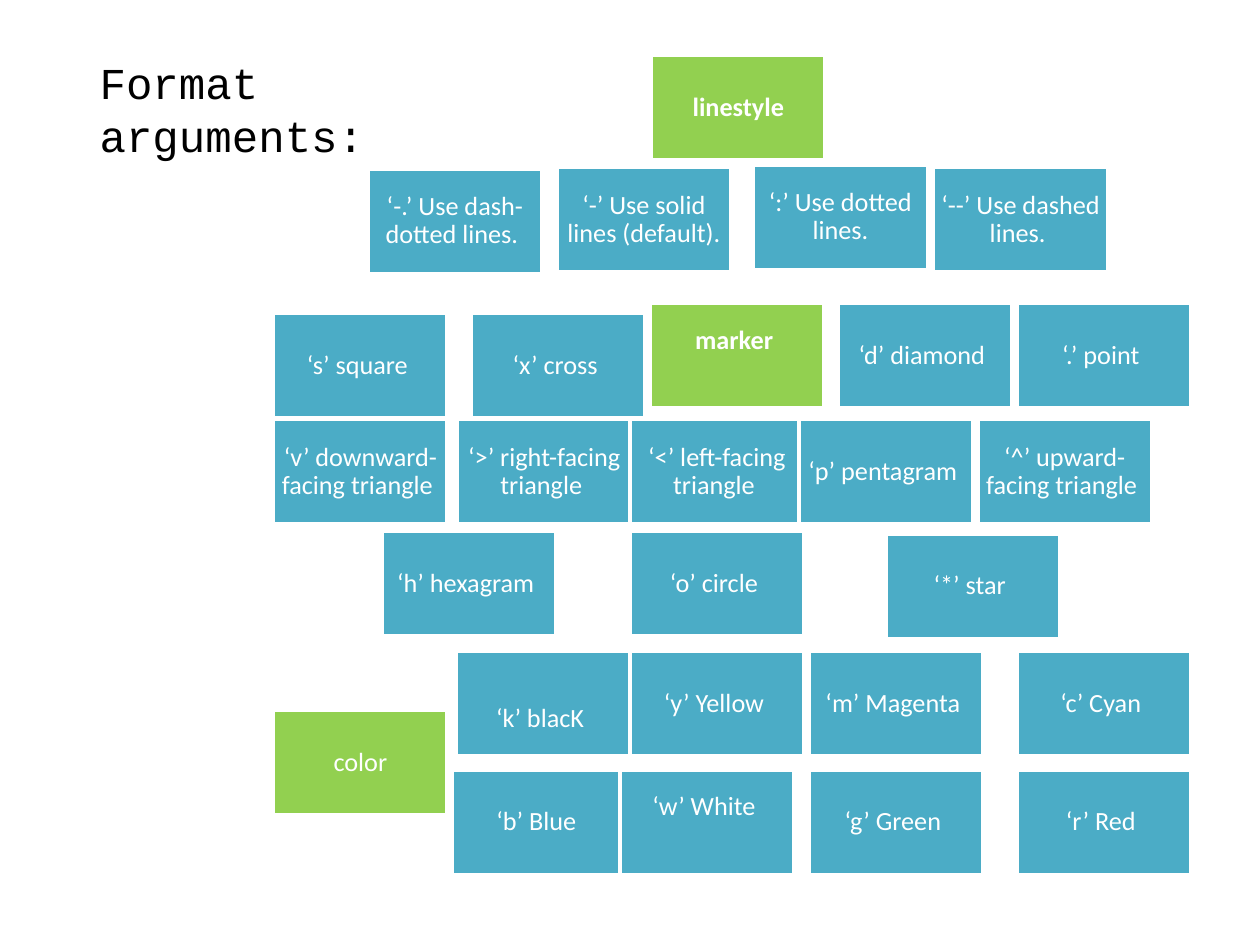
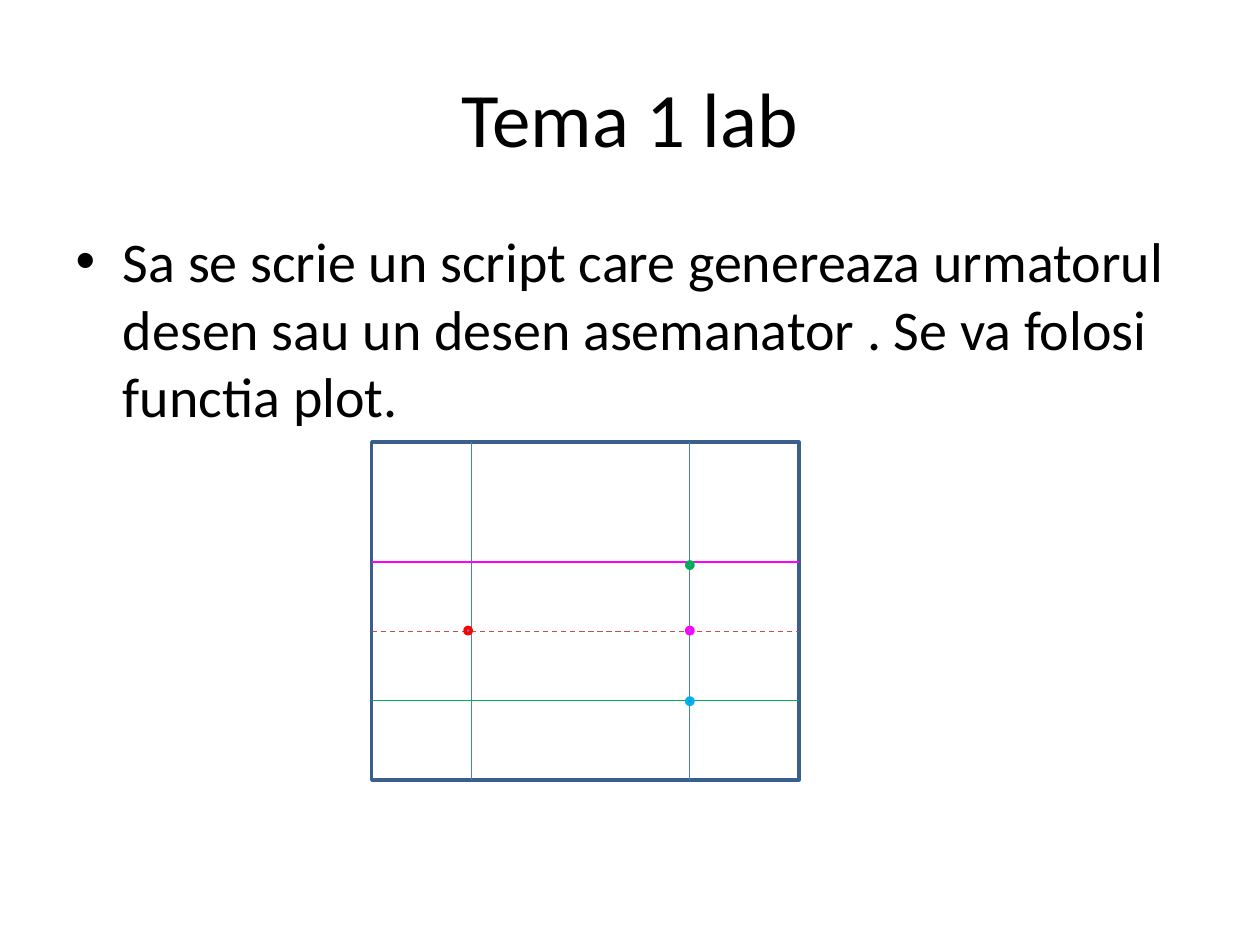
from lxml.etree import SubElement
from pptx import Presentation
from pptx.dml.color import RGBColor
from pptx.enum.dml import MSO_LINE
from pptx.enum.shapes import MSO_CONNECTOR, MSO_SHAPE
from pptx.enum.text import MSO_ANCHOR, MSO_AUTO_SIZE, PP_ALIGN
from pptx.oxml.ns import qn
from pptx.util import Inches, Pt

COLOURS = {
    "text": "000000", "white": "FFFFFF", "heading": "92D050", "option": "4BACC6",
    "frame": "3A5F8C", "grid": "4B7EBC", "dot": "4F81BD", "green": "00B050",
    "brick": "C0504D", "magenta": "FF00FF", "red": "FF0000", "cyan": "00B0F0",
}
TITLE_ONLY, TITLE_AND_CONTENT = 5, 1
TILE_WIDTH, TILE_HEIGHT = 1.38, 0.83
TILE_MARGIN, LINE_SHIFT = 0.06, 0.24

HEADINGS = [
    (5.17, 0.44, "linestyle", True, 0),
    (5.16, 2.41, "marker ", True, -LINE_SHIFT),
    (2.17, 5.64, "color", False, 0),
]
OPTION_ROWS = [
    [(2.92, 1.34, "‘-.’ Use dash-dotted lines. "), (4.42, 1.33, "‘-’ Use solid lines (default)."),
     (5.98, 1.31, "‘:’ Use dotted lines."), (7.41, 1.33, "‘--’ Use dashed lines. ")],
    [(2.17, 2.49, "‘s’ square "), (3.74, 2.49, "‘x’ cross "),
     (6.65, 2.41, "‘d’ diamond "), (8.07, 2.41, "‘.’ point ")],
    [(2.17, 3.33, "‘v’ downward-facing triangle "), (3.63, 3.33, "‘>’ right-facing triangle "),
     (5, 3.33, "‘<’ left-facing triangle "), (6.34, 3.33, "‘p’ pentagram "),
     (7.76, 3.33, "‘^’ upward-facing triangle ")],
    [(3.03, 4.22, "‘h’ hexagram "), (5, 4.22, "‘o’ circle "), (7.03, 4.24, "‘*’ star ")],
    [(3.62, 5.17, "‘k’ blacK ", LINE_SHIFT), (5, 5.17, "‘y’ Yellow "),
     (6.42, 5.17, "‘m’ Magenta "), (8.07, 5.17, "‘c’ Cyan ")],
    [(3.59, 6.11, "‘b’ Blue "), (4.92, 6.11, "‘w’ White ", -LINE_SHIFT),
     (6.42, 6.11, "‘g’ Green "), (8.07, 6.11, "‘r’ Red ")],
]

PLOT_LEFT, PLOT_TOP, PLOT_WIDTH, PLOT_HEIGHT = 2.95, 3.51, 3.39, 2.68
PLOT_RIGHT, PLOT_BOTTOM = PLOT_LEFT + PLOT_WIDTH, PLOT_TOP + PLOT_HEIGHT
DOT_SIZE = 0.05


class SlideBuilder:
    """Holds the shared style and the current slide."""

    def __init__(self, deck):
        self.deck = deck
        self.page = None

    def new_page(self, layout):
        self.page = self.deck.slides.add_slide(self.deck.slide_layouts[layout])

    def colour(self, name):
        return RGBColor.from_string(COLOURS[name])

    def style_text(self, box, size, colour="text", font="Calibri", bold=False, align=None):
        for para in box.text_frame.paragraphs:
            para.alignment = align
            for span in para.runs:
                span.font.name = font
                span.font.size = Pt(size)
                span.font.bold = bold
                span.font.color.rgb = self.colour(colour)

    def placeholder(self, index, text, area, size, **style):
        box = self.page.placeholders[index]
        box.left, box.top, box.width, box.height = map(Inches, area)
        box.text_frame.text = text
        box.text_frame.auto_size = MSO_AUTO_SIZE.NONE
        self.style_text(box, size, **style)
        return box

    def shape(self, area, line, fill=None, kind=MSO_SHAPE.RECTANGLE, parent=None):
        box = (parent or self.page).shapes.add_shape(kind, *map(Inches, area))
        box.shadow.inherit = False
        box.line.color.rgb = self.colour(line)
        box.line.width = Pt(2)
        if fill:
            box.fill.solid()
            box.fill.fore_color.rgb = self.colour(fill)
        else:
            box.fill.background()
        return box

    def tile(self, group, left, top, label, fill="option", bold=False, shift=0):
        box = self.shape((left, top, TILE_WIDTH, TILE_HEIGHT), "white", fill, parent=group)
        frame = box.text_frame
        frame.text = label
        frame.word_wrap = True
        frame.vertical_anchor = MSO_ANCHOR.MIDDLE
        frame.margin_left = frame.margin_right = Inches(TILE_MARGIN)
        frame.margin_top = Inches(TILE_MARGIN + max(shift, 0))
        frame.margin_bottom = Inches(TILE_MARGIN + max(-shift, 0))
        frame.paragraphs[0].line_spacing = 0.9
        self.style_text(box, 15, "white", bold=bold, align=PP_ALIGN.CENTER)

    def line(self, start, end, colour, dash=None):
        connector = self.page.shapes.add_connector(
            MSO_CONNECTOR.STRAIGHT, *map(Inches, (*start, *end)))
        connector.line.color.rgb = self.colour(colour)
        connector.line.width = Pt(0.75)
        connector.line.dash_style = dash
        SubElement(connector._element.spPr, qn("a:effectLst"))

    def dot(self, left, top, colour):
        self.shape((left, top, DOT_SIZE, DOT_SIZE), colour, "dot", MSO_SHAPE.OVAL)


def build_format_arguments(builder):
    builder.new_page(TITLE_ONLY)
    title = builder.placeholder(0, "Format arguments:", (0.69, 0.68, 2.77, 0.71), 25.2,
                                font="Courier New", align=PP_ALIGN.LEFT)
    title.text_frame.margin_bottom = Inches(0.4)
    group = builder.page.shapes.add_group_shape()
    for row in OPTION_ROWS:
        for left, top, label, *shift in row:
            builder.tile(group, left, top, label, shift=sum(shift))
    for left, top, label, bold, shift in HEADINGS:
        builder.tile(group, left, top, label, "heading", bold, shift)


def build_plot_task(builder):
    builder.new_page(TITLE_AND_CONTENT)
    builder.placeholder(0, "Tema 1 lab", (0.5, 0.3, 9, 1.25), 44, align=PP_ALIGN.CENTER)
    builder.placeholder(
        1, "Sa se scrie un script care genereaza urmatorul desen sau un desen asemanator . "
        "Se va folosi functia plot.", (0.5, 1.75, 9, 4.95), 32)
    builder.shape((PLOT_LEFT, PLOT_TOP, PLOT_WIDTH, PLOT_HEIGHT), "frame")
    for x in (3.74, 5.47):
        builder.line((x, PLOT_TOP), (x, PLOT_BOTTOM), "grid")
    for y, colour, dash in ((5.56, "green", None), (5.01, "brick", MSO_LINE.DASH),
                            (4.46, "magenta", None)):
        builder.line((PLOT_LEFT, y), (PLOT_RIGHT, y), colour, dash)
    for left, top, colour in ((5.45, 4.46, "green"), (3.69, 4.98, "red"),
                              (5.45, 4.98, "magenta"), (5.45, 5.54, "cyan")):
        builder.dot(left, top, colour)


def main():
    deck = Presentation()
    deck.slide_width, deck.slide_height = Inches(10), Inches(7.5)
    builder = SlideBuilder(deck)
    build_format_arguments(builder)
    build_plot_task(builder)
    deck.save("out.pptx")


if __name__ == "__main__":
    main()
